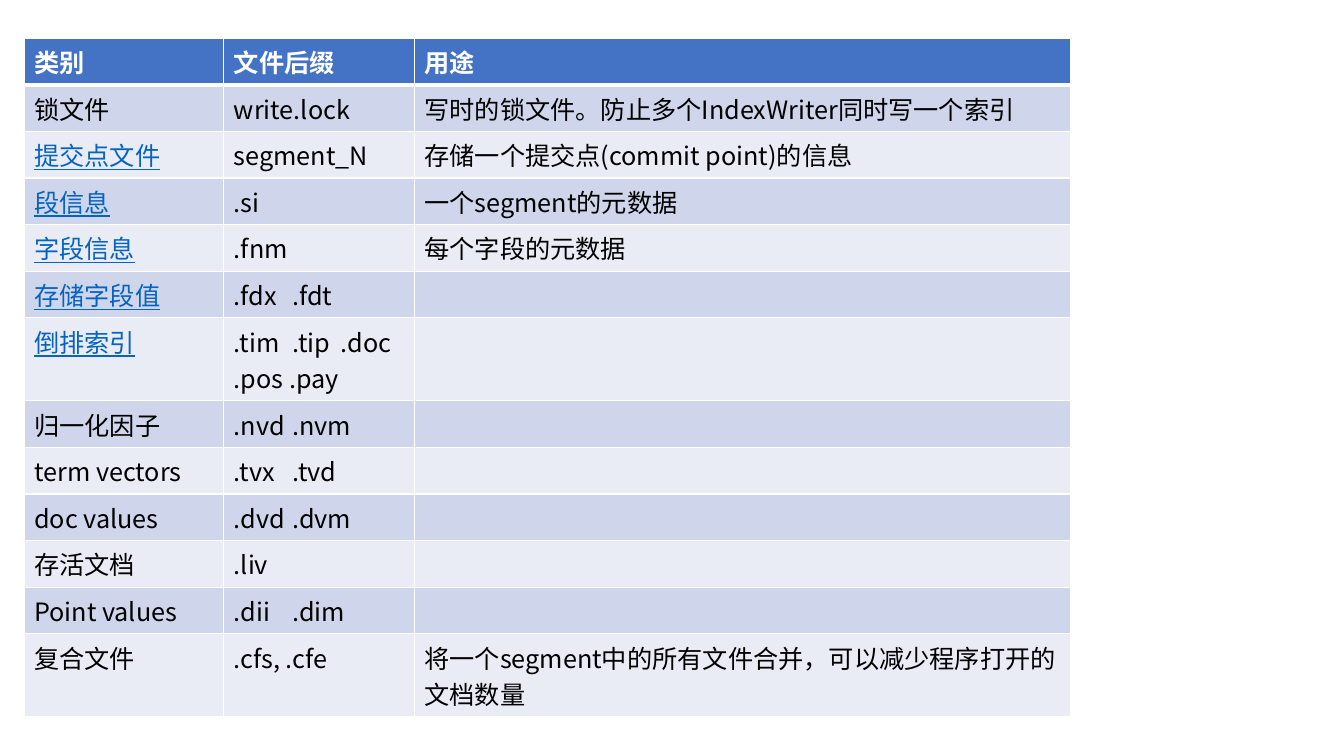
from pptx import Presentation
from pptx.dml.color import RGBColor as Rgb
from pptx.oxml.ns import qn
from pptx.util import Inches, Pt
from lxml.etree import SubElement as Sub

FONT = "Noto Sans CJK SC"
SIZE = 18
HEX = {"head": "4472C4", "odd": "CFD5EA", "even": "E9EBF5",
       "white": "FFFFFF", "text": "000000", "link": "0563C1"}
COLS = (1.98, 1.89, 6.51)
ROW = 0.42
STOPS = (0.58, 1.06)  # tab stops that align the file suffixes

HEAD = ("类别", "文件后缀", "用途")
FILES = (
    ("锁文件", "write.lock", "写时的锁文件。防止多个IndexWriter同时写一个索引"),
    ("提交点文件", "segment_N", "存储一个提交点(commit point)的信息"),
    ("段信息", ".si", "一个segment的元数据"),
    ("字段信息", ".fnm", "每个字段的元数据"),
    ("存储字段值", ".fdx\t.fdt", ""),
    ("倒排索引", ".tim\t.tip\t.doc\n.pos .pay", ""),
    ("归一化因子", ".nvd\t.nvm", ""),
    ("term vectors", ".tvx\t.tvd", ""),
    ("doc values", ".dvd\t.dvm", ""),
    ("存活文档", ".liv", ""),
    ("Point values", ".dii\t.dim", ""),
    ("复合文件", ".cfs, .cfe",
     "将一个segment中的所有文件合并，可以减少程序打开的文档数量"),
)
LINKS = {"提交点文件", "段信息", "字段信息", "存储字段值", "倒排索引"}


def add_run(para, text, color, bold=False, under=False):
    run = para.add_run()
    run.text = text
    font = run.font
    font.name, font.size = FONT, Pt(SIZE)
    font.bold, font.underline = bold, under
    font.color.rgb = Rgb.from_string(HEX[color])
    Sub(run._r.get_or_add_rPr(), qn("a:ea"), typeface=FONT)


def add_tabs(para):
    tabs = Sub(para._p.get_or_add_pPr(), qn("a:tabLst"))
    for stop in STOPS:
        Sub(tabs, qn("a:tab"), pos=str(Inches(stop)), algn="l")


def fill_cell(cell, text, fill, color, **style):
    frame = cell.text_frame
    for i, line in enumerate(text.split("\n") if text else ()):
        para = frame.add_paragraph() if i else frame.paragraphs[0]
        if "\t" in line:
            add_tabs(para)
        add_run(para, line, color, **style)
    # Borders come before the fill in the cell properties
    cell.fill.solid()
    cell.fill.fore_color.rgb = Rgb.from_string(HEX[fill])


def edge_cell(cell, top=1, base=1):
    props = cell._tc.get_or_add_tcPr()
    sides = {"L": 1, "R": 1, "T": top, "B": base}
    for i, (side, width) in enumerate(sides.items()):
        line = Sub(props, qn(f"a:ln{side}"), w=str(Pt(width)))
        solid = Sub(line, qn("a:solidFill"))
        Sub(solid, qn("a:srgbClr"), val=HEX["white"])
        props.insert(i, line)


def add_grid(slide, left, top):
    count = len(FILES) + 1
    shape = slide.shapes.add_table(
        count, len(COLS), Inches(left), Inches(top),
        Inches(sum(COLS)), Inches(ROW * count))
    grid = shape.table
    for col, width in zip(grid.columns, COLS):
        col.width = Inches(width)
    for row in grid.rows:
        row.height = Inches(ROW)

    # Header row
    for cell, text in zip(grid.rows[0].cells, HEAD):
        fill_cell(cell, text, "head", "white", bold=True)
        edge_cell(cell, base=3)

    # Banded rows, one for each kind of file
    for i, texts in enumerate(FILES, 1):
        for cell, text in zip(grid.rows[i].cells, texts):
            link = text in LINKS
            fill_cell(cell, text, "odd" if i % 2 else "even",
                      "link" if link else "text", under=link)
            edge_cell(cell, top=3 if i == 1 else 1)


def main():
    deck = Presentation()
    deck.slide_width, deck.slide_height = Inches(13.33), Inches(7.5)
    slide = deck.slides.add_slide(deck.slide_layouts[6])
    add_grid(slide, 0.24, 0.38)
    deck.save("out.pptx")


main()
